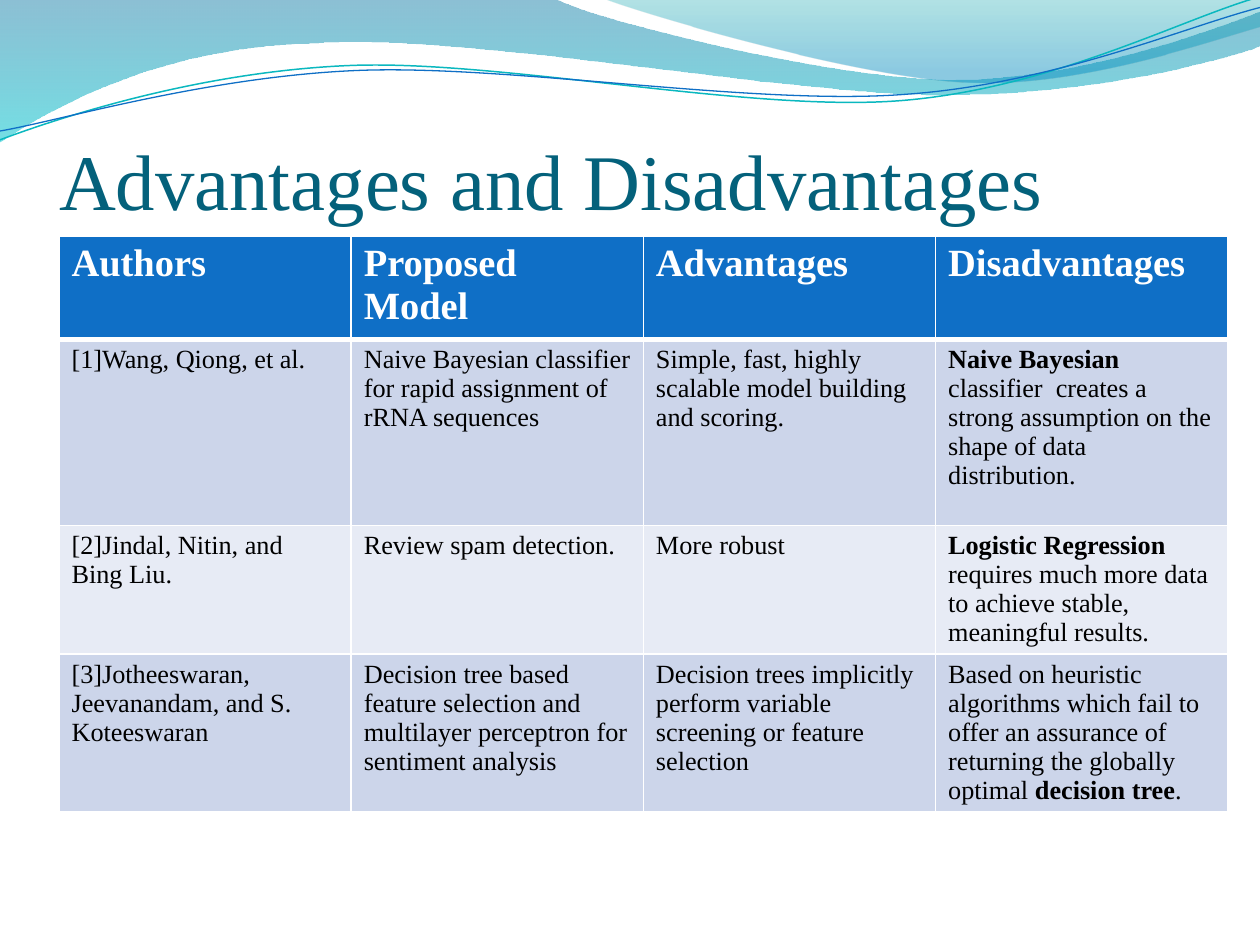
from math import cos, radians, sin

from lxml.etree import SubElement
from pptx import Presentation
from pptx.dml.color import RGBColor
from pptx.enum.text import MSO_ANCHOR, PP_ALIGN
from pptx.oxml.ns import qn
from pptx.util import Cm, Pt

FONT = "Times New Roman"
WHITE = RGBColor(0xFF, 0xFF, 0xFF)
BLACK = RGBColor(0x00, 0x00, 0x00)
TEAL = RGBColor(0x04, 0x61, 0x7B)
BLUE = RGBColor(0x0F, 0x6F, 0xC6)
CYAN = RGBColor(0x0A, 0xB8, 0xBF)
BAND_DARK = RGBColor(0xCC, 0xD5, 0xEA)
BAND_LIGHT = RGBColor(0xE7, 0xEB, 0xF5)

# Content; bold words stand between asterisks
TITLE = "Advantages and Disadvantages"
ROWS = [
    ["*Authors*", "*Proposed Model*", "*Advantages*", "*Disadvantages*"],
    ["[1]Wang, Qiong, et al.",
     "Naive Bayesian classifier for rapid assignment of rRNA sequences",
     "Simple, fast, highly scalable model building and scoring.",
     "*Naive Bayesian *classifier  creates a strong assumption on the shape of "
     "data distribution."],
    ["[2]Jindal, Nitin, and Bing Liu.",
     "Review spam detection.",
     "More robust",
     "*Logistic Regression *requires much more data to achieve stable, "
     "meaningful results."],
    ["[3]Jotheeswaran, Jeevanandam, and S. Koteeswaran",
     "Decision tree based feature selection and multilayer perceptron for "
     "sentiment analysis",
     "Decision trees implicitly perform variable screening or feature selection",
     "Based on heuristic algorithms which fail to offer an assurance of "
     "returning the globally optimal *decision tree*."],
]
# Rows grow to fit their text
ROW_HEIGHTS = [2.08, 3.75, 2.08, 2.08]
COL_WIDTH = 5.89

# Wave outlines in inches: a pair is a corner, six numbers are a Bezier curve
# Bands: outline, then gradient stops (position, colour, opacity %)
BANDS = [
    ([(0, 0), (4.4, -0.01), (4.76, 0.17, 6.64, 0.63, 7.58, 0.63),
      (8.53, 0.63, 9.58, 0.26, 10, 0.09), (10.01, 0.36),
      (9.83, 0.44, 8.7, 0.76, 7.46, 0.75), (6.22, 0.75, 3.82, 0.28, 2.57, 0.34),
      (1.29, 0.36, 0.46, 0.83, -0.01, 1.13)],
     [(0, RGBColor(0x00, 0x74, 0xA1), 45), (1, RGBColor(0x00, 0xC6, 0xCF), 55)]),
    ([(4.79, -0.01), (5.09, 0.11, 6.82, 0.62, 7.69, 0.65),
      (8.56, 0.69, 9.61, 0.32, 10, 0.21), (10, 0)],
     [(0, RGBColor(0x00, 0xA1, 0xA9), 30), (0.8, RGBColor(0x00, 0x8B, 0xBF), 45)]),
]
# Lines: outline, centre of rotation, colour, width
LINES = [
    ([(0, 1.11), (0.48, 0.93, 1.58, 0.57, 2.77, 0.52),
      (3.95, 0.47, 5.93, 0.89, 7.13, 0.8), (8.33, 0.71, 9.38, 0.15, 9.98, -0.02)],
     (4.99, 0.57), CYAN, 0.85),
    ([(0, 1.04), (0.47, 0.96, 1.64, 0.61, 2.83, 0.56),
      (4.03, 0.51, 5.97, 0.84, 7.17, 0.75), (8.36, 0.67, 9.41, 0.21, 10, 0.06)],
     (5, 0.59), BLUE, 0.75),
]
TILT = -2.7


def add_wave(s, outline, close, tilt=0, centre=(0, 0)):
    c, n = cos(radians(tilt)), sin(radians(tilt))
    points = []
    for seg in outline:
        for x, y in zip(seg[::2], seg[1::2]):
            dx, dy = x - centre[0], y - centre[1]
            points.append((Cm(2.54 * (centre[0] + dx * c + dy * n)),
                           Cm(2.54 * (centre[1] - dx * n + dy * c))))
    builder = s.shapes.build_freeform(*points[0])
    builder.add_line_segments(points[1:], close=close)
    sp = builder.convert_to_shape()
    sp.shadow.inherit = False
    sp.rotation = tilt
    # Join the three points of each curve into one Bezier segment
    corners = iter(list(sp.element.iter(qn("a:lnTo"))))
    for seg in outline[1:]:
        first = next(corners)
        if len(seg) == 6:
            first.tag = qn("a:cubicBezTo")
            for _ in range(2):
                extra = next(corners)
                first.append(extra[0])
                extra.getparent().remove(extra)
    return sp


def style_run(r, size, color, bold=False):
    r.font.name, r.font.size, r.font.bold = FONT, Pt(size), bold
    r.font.color.rgb = color


def add_border(cell, side, width):
    ln = SubElement(cell._tc.get_or_add_tcPr(), qn(f"a:ln{side}"), w=str(Pt(width)))
    SubElement(SubElement(ln, qn("a:solidFill")), qn("a:srgbClr"), val=str(WHITE))


prs = Presentation()
prs.slide_width, prs.slide_height = Cm(25.4), Cm(19.05)
s = prs.slides.add_slide(prs.slide_layouts[5])

# Waves
for outline, stops in BANDS:
    sp = add_wave(s, outline, True)
    sp.line.fill.background()
    sp.fill.gradient()
    sp.fill.gradient_angle = 270
    for stop, (position, color, _) in zip(sp.fill.gradient_stops, stops):
        stop.position = position
        stop.color.rgb = color
    for gs, (_, _, opacity) in zip(sp.element.iter(qn("a:gs")), stops):
        SubElement(gs[0], qn("a:alpha"), val=str(opacity * 1000))
for outline, centre, color, width in LINES:
    sp = add_wave(s, outline, False, TILT, centre)
    sp.fill.background()
    sp.line.color.rgb = color
    sp.line.width = Pt(width)

# Title, in front of the waves
title = s.shapes.title
sp.element.addnext(title.element)
title.left, title.top, title.width, title.height = Cm(1.19), Cm(1.39), Cm(22.86), Cm(3.17)
tf = title.text_frame
tf.text = TITLE
tf.margin_left = tf.margin_right = tf.margin_bottom = 0
tf.margin_top = Cm(0.13)
tf.vertical_anchor = MSO_ANCHOR.BOTTOM
p = tf.paragraphs[0]
p.alignment = PP_ALIGN.LEFT
style_run(p.runs[0], 45, TEAL)

# Table
frame = s.shapes.add_table(len(ROWS), len(ROWS[0]), Cm(1.19), Cm(4.76),
                           Cm(COL_WIDTH * len(ROWS[0])), Cm(sum(ROW_HEIGHTS)))
table = frame.table
for col in table.columns:
    col.width = Cm(COL_WIDTH)
for i, (row, height) in enumerate(zip(ROWS, ROW_HEIGHTS)):
    table.rows[i].height = Cm(height)
    header = i == 0
    fill = BLUE if header else BAND_DARK if i % 2 else BAND_LIGHT
    for j, text in enumerate(row):
        cell = table.cell(i, j)
        for side in "LRTB":
            add_border(cell, side, 3 if header and side == "B" else 1)
        cell.fill.solid()
        cell.fill.fore_color.rgb = fill
        p = cell.text_frame.paragraphs[0]
        for k, part in enumerate(text.split("*")):
            if part:
                r = p.add_run()
                r.text = part
                style_run(r, 22 if header else 15, WHITE if header else BLACK, k % 2 == 1)
frame.height = Cm(12.4)

prs.save("out.pptx")
